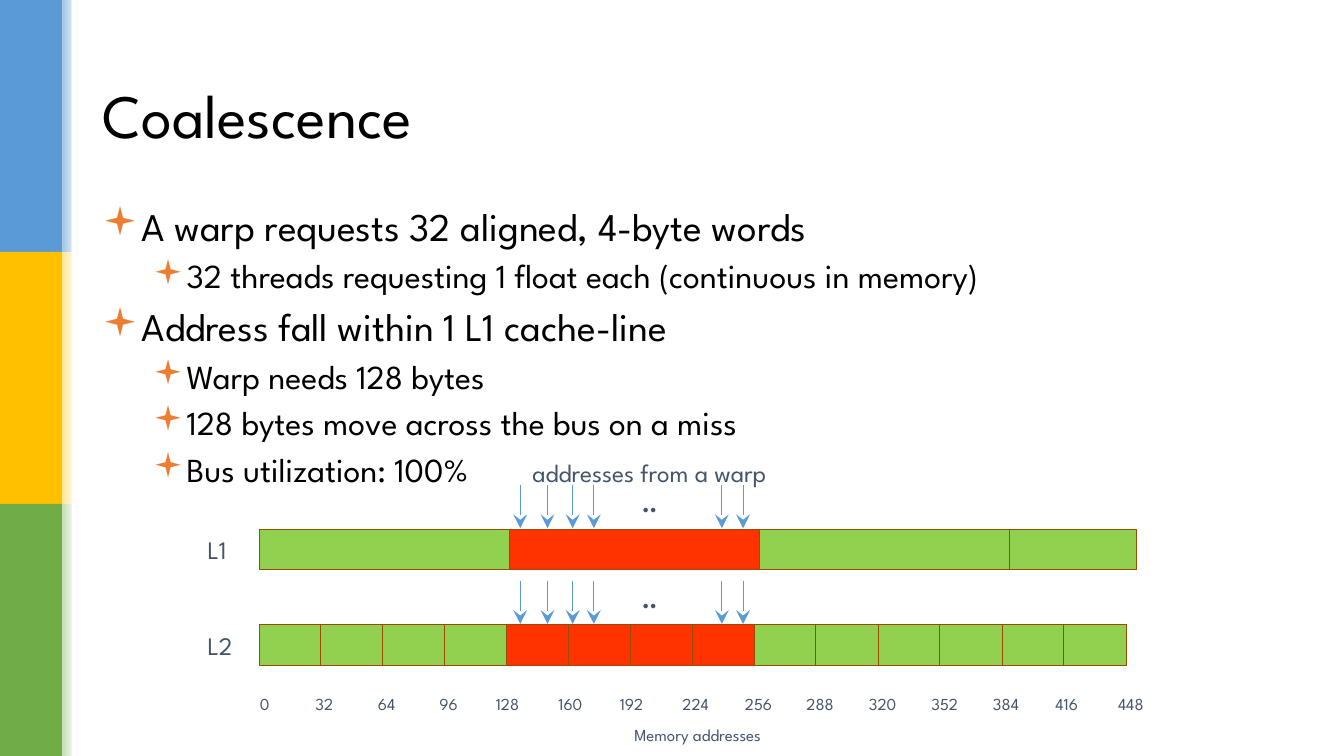
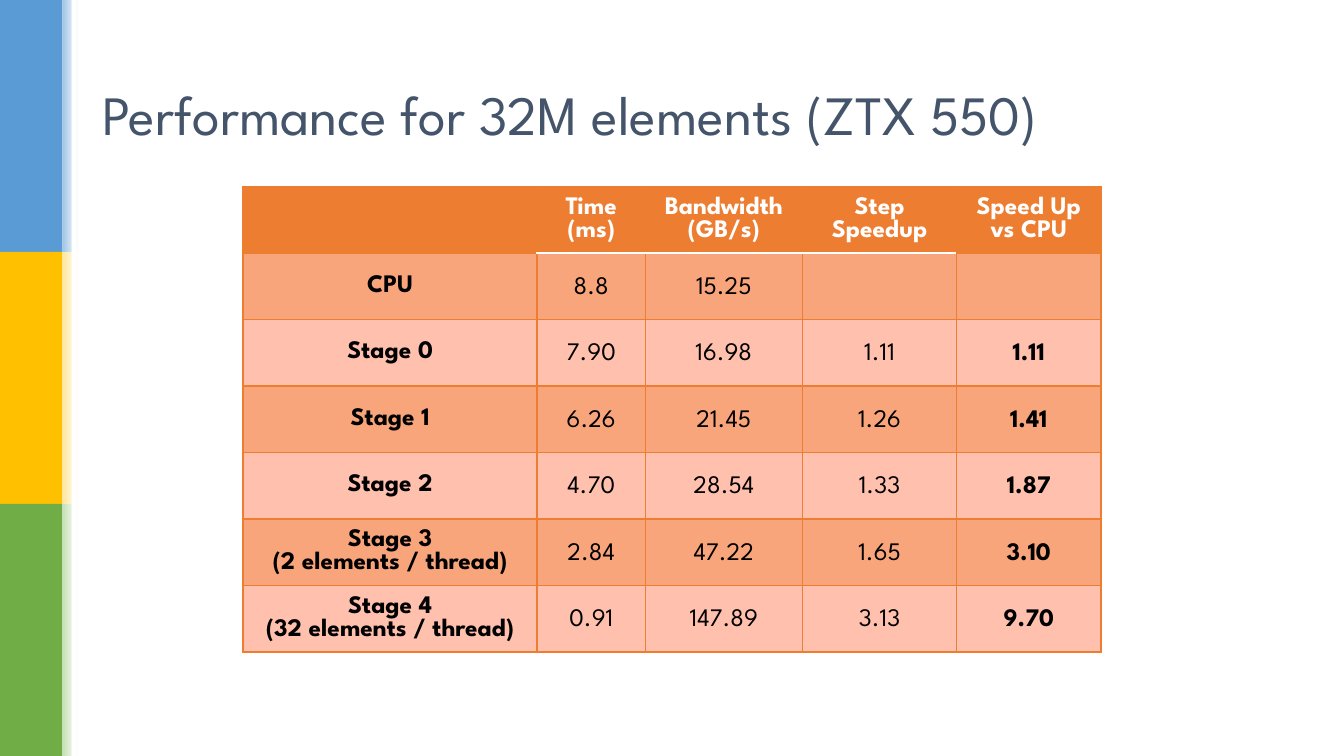
from lxml import etree
from pptx import Presentation
from pptx.dml.color import RGBColor
from pptx.enum.shapes import MSO_CONNECTOR, MSO_SHAPE
from pptx.enum.text import MSO_ANCHOR, PP_ALIGN
from pptx.oxml.ns import qn
from pptx.util import Emu, Pt

PX = 9144  # EMU in one px, 100 px to the inch
WIDE, HIGH = 1333, 750
FONT = "League Spartan"

BLACK = RGBColor(0x00, 0x00, 0x00)
WHITE = RGBColor(0xFF, 0xFF, 0xFF)
SLATE = RGBColor(0x44, 0x54, 0x6A)
BLUE = RGBColor(0x5B, 0x9B, 0xD5)
GOLD = RGBColor(0xFF, 0xC0, 0x00)
GREEN = RGBColor(0x70, 0xAD, 0x47)
PALE_BLUE = RGBColor(0x9D, 0xC3, 0xE6)
PALE_GOLD = RGBColor(0xFF, 0xE6, 0x99)
PALE_GREEN = RGBColor(0xC5, 0xE0, 0xB4)
ORANGE = RGBColor(0xED, 0x7D, 0x31)
PEACH = RGBColor(0xF8, 0xA5, 0x7B)
PINK = RGBColor(0xFF, 0xC0, 0xAD)
LIME = RGBColor(0x92, 0xD0, 0x50)
RED = RGBColor(0xFF, 0x33, 0x00)
BROWN = RGBColor(0x99, 0x4C, 0x00)

RECT = MSO_SHAPE.RECTANGLE
LINE = MSO_CONNECTOR.STRAIGHT
LEFT, CENTER = PP_ALIGN.LEFT, PP_ALIGN.CENTER
TOP, MIDDLE = MSO_ANCHOR.TOP, MSO_ANCHOR.MIDDLE

BANDS = [(BLUE, PALE_BLUE), (GOLD, PALE_GOLD), (GREEN, PALE_GREEN)]

POINTS = [
    (0, "A warp requests 32 aligned, 4-byte words"),
    (1, "32 threads requesting 1 float each (continuous in memory)"),
    (0, "Address fall within 1 L1 cache-line"),
    (1, "Warp needs 128 bytes"),
    (1, "128 bytes move across the bus on a miss"),
    (1, "Bus utilization: 100%"),
]
# size, space before and left margin of each bullet level
LEVELS = [(28, 8.4, 25), (24, 7.2, 75)]

ARROWS = [516, 543, 568, 589, 716, 737]
CELLS = 14

COLS = [292, 107, 156, 153, 143]
ROWS = [
    ["", "Time (ms)", "Bandwidth (GB/s)", "Step Speedup", "Speed Up vs CPU"],
    ["CPU", "8.8", "15.25", "", ""],
    ["Stage 0", "7.90", "16.98", "1.11", "1.11"],
    ["Stage 1", "6.26", "21.45", "1.26", "1.41"],
    ["Stage 2", "4.70", "28.54", "1.33", "1.87"],
    ["Stage 3\n(2 elements / thread)", "2.84", "47.22", "1.65", "3.10"],
    ["Stage 4\n(32 elements / thread)", "0.91", "147.89", "3.13", "9.70"],
]


def px(*sizes):
    return [Emu(size * PX) for size in sizes]


def put(item, values):
    for name, value in values.items():
        setattr(item, name, value)


def style(par, size, color, bold=False):
    put(par.font, {"name": FONT, "size": Pt(size), "bold": bold})
    par.font.color.rgb = color


def label(slide, text, box, size, color=SLATE, align=LEFT, bold=False,
          anchor=TOP, pad=5):
    frame = slide.shapes.add_textbox(*px(*box)).text_frame
    edge, = px(pad)
    put(frame, {"word_wrap": True, "vertical_anchor": anchor,
                "margin_top": edge, "margin_bottom": edge})
    par = frame.paragraphs[0]
    put(par, {"text": text, "alignment": align})
    style(par, size, color, bold)


def block(slide, box, color, edge=None):
    shape = slide.shapes.add_shape(RECT, *px(*box))
    shape.shadow.inherit = False
    shape.fill.solid()
    shape.fill.fore_color.rgb = color
    if edge is None:
        shape.line.fill.background()
    else:
        shape.line.color.rgb = edge
        shape.line.width = Pt(0.75)
    return shape


def fade(slide, box, color):
    fill = block(slide, box, color).fill
    fill.gradient()
    fill.gradient_angle = 0
    for stop, place, tone in zip(fill.gradient_stops, (0, 1), (color, WHITE)):
        stop.position = place
        stop.color.rgb = tone


def arrow(slide, x, top, tall=43):
    line = slide.shapes.add_connector(LINE, *px(x, top, x, top + tall))
    line.line.color.rgb = BLUE
    line.line.width = Pt(0.75)
    props = line._element.spPr
    etree.SubElement(props.find(qn("a:ln")), qn("a:tailEnd"),
                     type="stealth", w="lg", len="lg")
    etree.SubElement(props, qn("a:effectLst"))


def start(deck, title, size, color):
    """Add a slide with the side bands and a title."""
    slide = deck.slides.add_slide(deck.slide_layouts[6])
    tall = HIGH // len(BANDS)
    for i, (full, pale) in enumerate(BANDS):
        block(slide, (0, i * tall, 62, tall), full)
        fade(slide, (62, i * tall, 16, tall), pale)
    block(slide, (71, 0, 5, HIGH), WHITE)
    label(slide, title, (92, 40, 1150, 145), size, color, anchor=MIDDLE)
    return slide


def bullets(slide, points, box):
    frame = slide.shapes.add_textbox(*px(*box)).text_frame
    frame.word_wrap = True
    for i, (level, text) in enumerate(points):
        size, gap, margin = LEVELS[level]
        par = frame.add_paragraph() if i else frame.paragraphs[0]
        put(par, {"text": text, "level": level, "line_spacing": 0.9,
                  "space_before": Pt(gap if i else 0)})
        props = par._p.get_or_add_pPr()
        left, hang = px(margin, -25)
        props.set("marL", str(left))
        props.set("indent", str(hang))
        tone = etree.SubElement(props, qn("a:buClr"))
        etree.SubElement(tone, qn("a:srgbClr"), val=str(ORANGE))
        etree.SubElement(props, qn("a:buFont"), typeface="Wingdings",
                         pitchFamily="2", charset="2")
        etree.SubElement(props, qn("a:buChar"), char="▪")
        style(par, size, BLACK)


def border(cell, side, color, width):
    props = cell._tc.get_or_add_tcPr()
    line = etree.SubElement(props, qn("a:ln" + side), w=str(Pt(width)))
    fill = etree.SubElement(line, qn("a:solidFill"))
    etree.SubElement(fill, qn("a:srgbClr"), val=str(color))


def edges(cell, row, col):
    """Orange grid, thicker after the names, white under the inner heads."""
    inner = 0 < col < len(COLS) - 1
    rule = (WHITE, 1.5) if inner else (ORANGE, 1)
    border(cell, "L", ORANGE, 1.5 if col == 1 else 1)
    border(cell, "R", ORANGE, 1.5 if col == 0 else 1)
    border(cell, "T", *(rule if row == 1 else (ORANGE, 1)))
    border(cell, "B", *(rule if row == 0 else (ORANGE, 1)))


def grid(slide, rows, left, top, tall):
    frame = slide.shapes.add_table(
        len(rows), len(COLS), *px(left, top, sum(COLS), tall * len(rows)))
    table = frame.table
    table.horz_banding = False
    for col, wide in zip(table.columns, COLS):
        col.width, = px(wide)
    side, edge = px(10, 2)
    for r, texts in enumerate(rows):
        table.rows[r].height, = px(tall)
        tone = (PEACH if r % 2 else PINK) if r else ORANGE
        for c, text in enumerate(texts):
            cell = table.cell(r, c)
            edges(cell, r, c)
            cell.fill.solid()
            cell.fill.fore_color.rgb = tone
            put(cell, {"margin_left": side, "margin_right": side,
                       "margin_top": edge, "margin_bottom": edge,
                       "vertical_anchor": MIDDLE})
            cell.text_frame.text = text
            bold = r == 0 or c in (0, len(COLS) - 1)
            for par in cell.text_frame.paragraphs:
                par.alignment = CENTER
                if r and c:
                    par.line_spacing = 1.15
                style(par, 18, BLACK if r else WHITE, bold)


def cache(slide, name, top, bars):
    """Draw one cache level: name, arrows, dots and (left, width, colour)."""
    label(slide, name, (196, top - 5, 51, 50), 18, pad=10)
    for x in ARROWS:
        arrow(slide, x, top - 44)
    label(slide, "..", (627, top - 46, 50, 36), 18, bold=True)
    for left, wide, color in bars:
        block(slide, (left, top, wide, 40), color, BROWN)


def memory(deck):
    slide = start(deck, "Coalescence", 44, BLACK)
    bullets(slide, POINTS, (92, 201, 1150, 300))
    label(slide, "addresses from a warp", (483, 449, 322, 40), 18,
          align=CENTER)
    # Cache lines of 128 bytes, then sectors of 32 bytes
    cache(slide, "L1", 525, [(879, 248, LIME), (505, 248, RED),
                             (257, 248, LIME), (753, 248, LIME)])
    cache(slide, "L2", 620, [(257 + 860 * i // CELLS, 62,
                              RED if 4 <= i < 8 else LIME)
                             for i in range(CELLS)])
    # Address scale
    for i in range(CELLS + 1):
        text = str(32 * i)
        half = 8 + 6 * len(text)
        label(slide, text, (262 + 863 * i // CELLS - half, 683, 52, 30), 12)
    label(slide, "Memory addresses", (594, 714, 196, 30), 12, align=CENTER)


def speed(deck):
    slide = start(deck, "Performance for 32M elements (ZTX 550)", 39.6, SLATE)
    grid(slide, ROWS, 241, 185, 66)


def main():
    deck = Presentation()
    deck.slide_width, deck.slide_height = px(WIDE, HIGH)
    memory(deck)
    speed(deck)
    deck.save("out.pptx")


if __name__ == "__main__":
    main()
